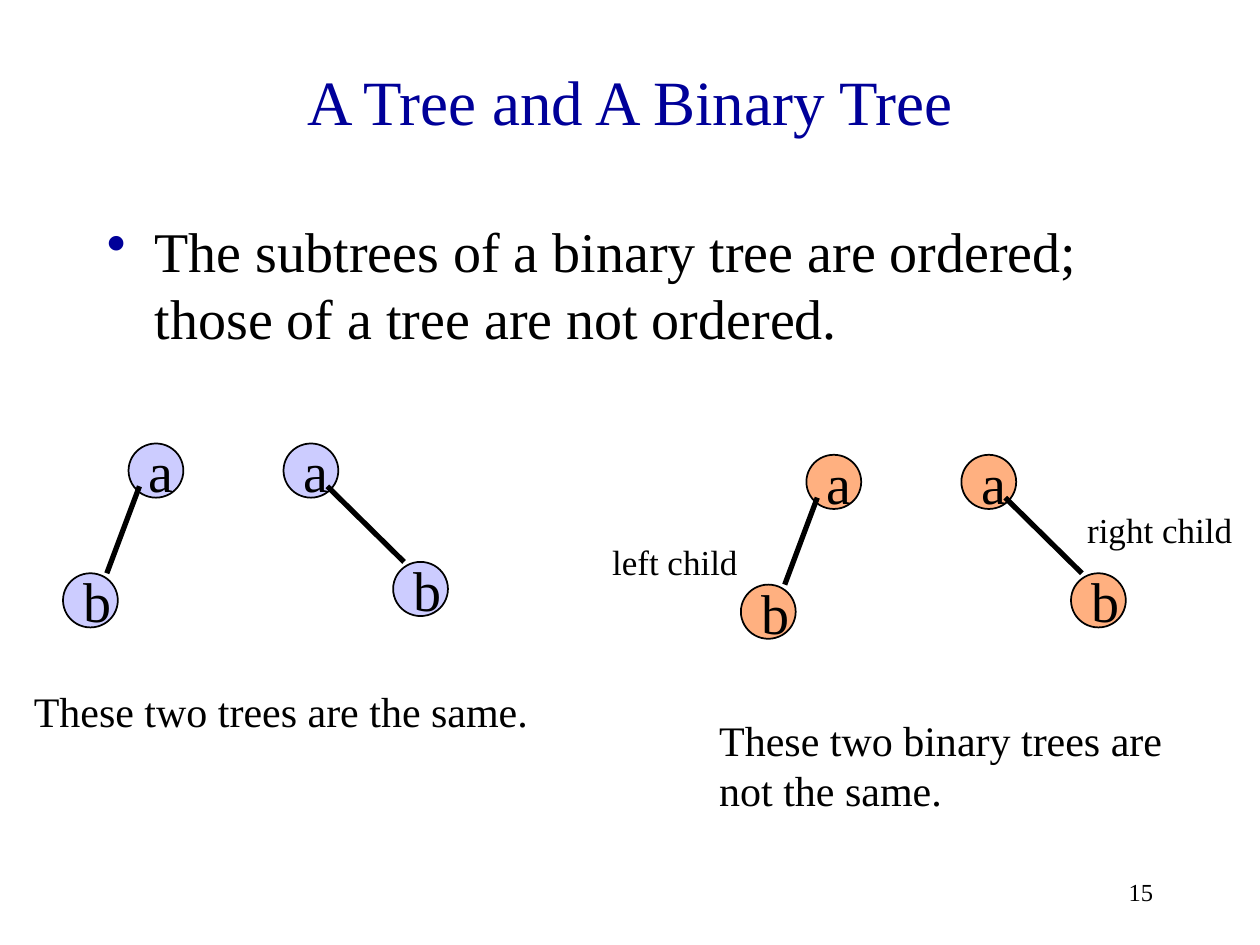
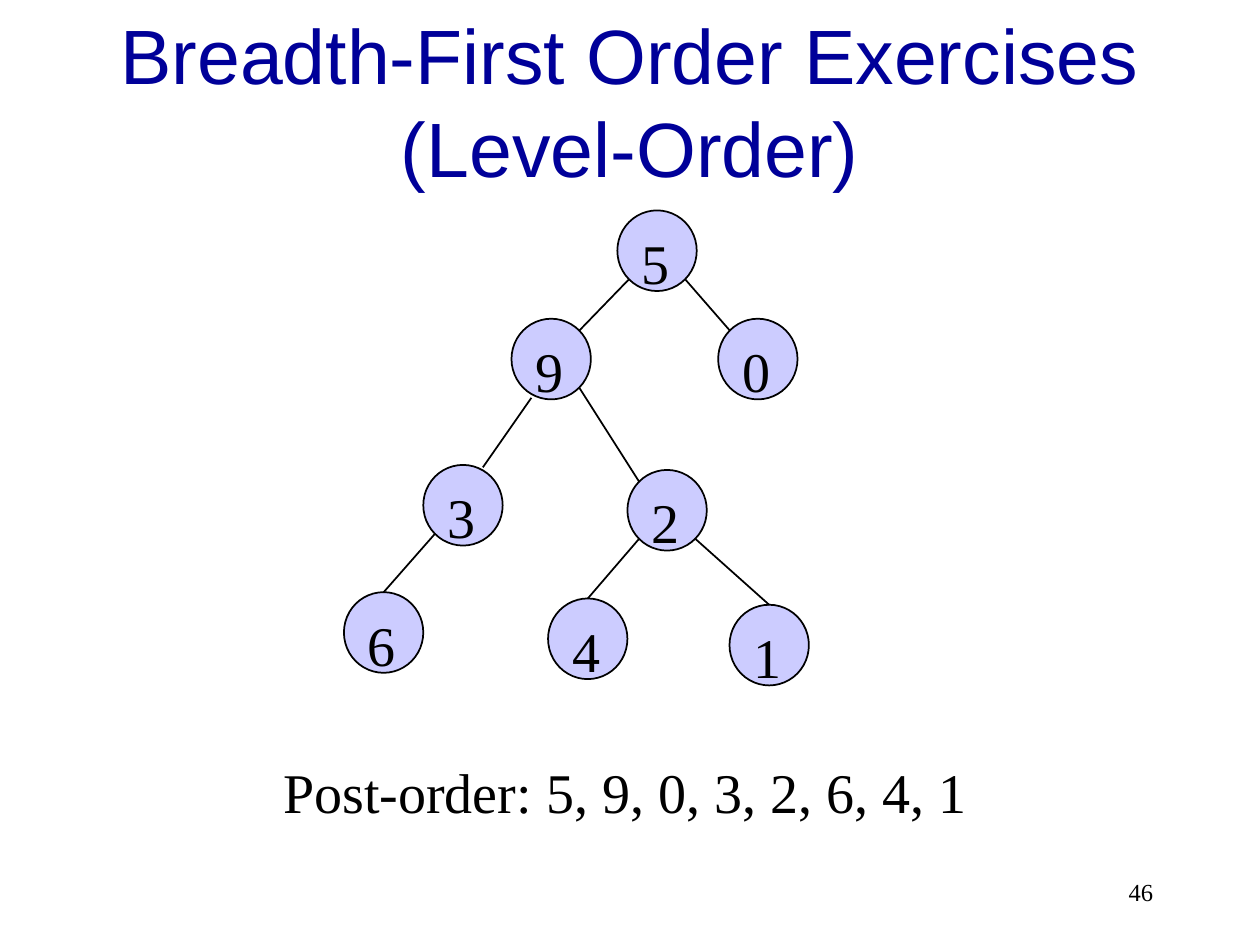
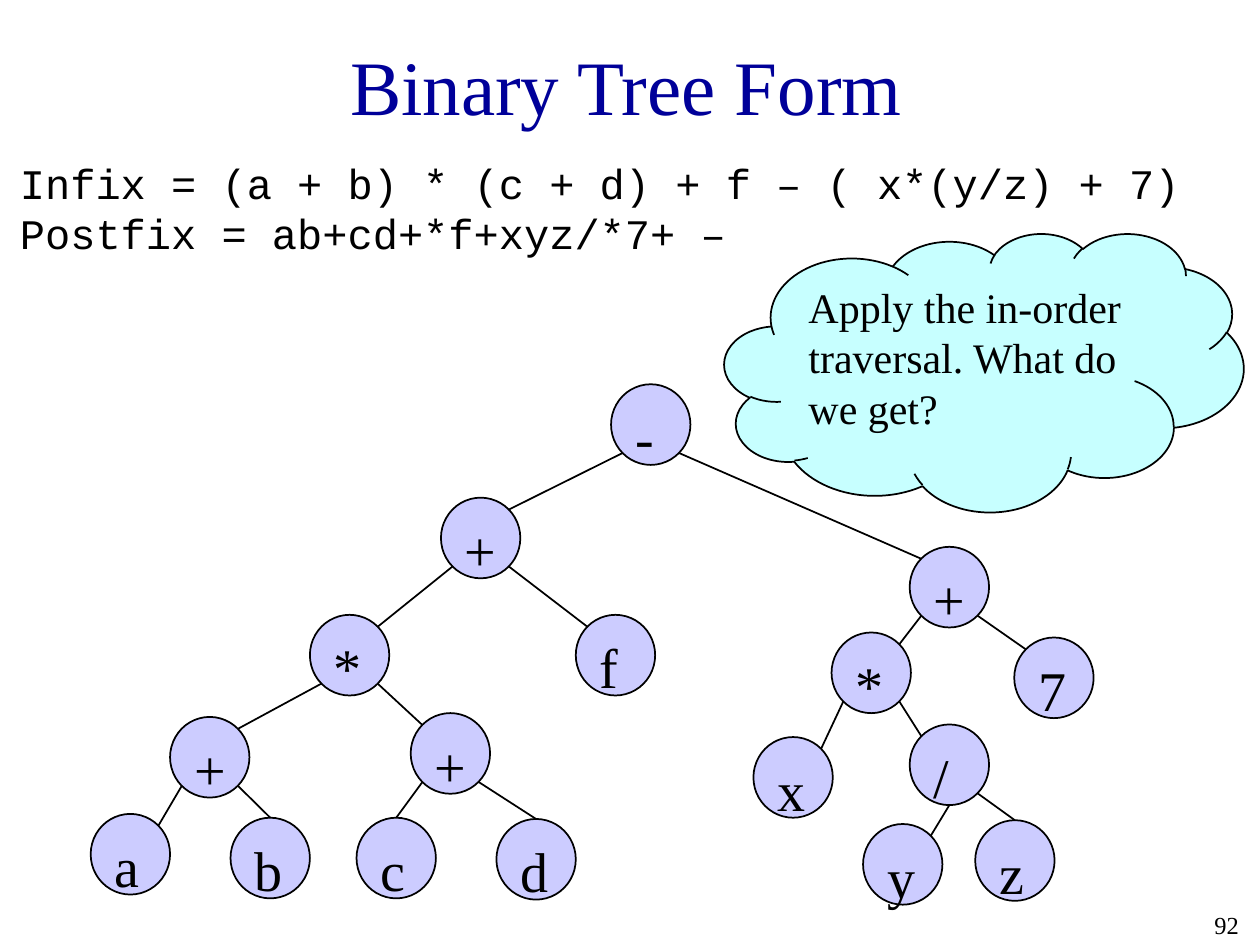
from dataclasses import dataclass

from lxml.etree import SubElement
from pptx import Presentation
from pptx.dml.color import RGBColor
from pptx.enum.shapes import MSO_CONNECTOR, MSO_SHAPE
from pptx.enum.text import MSO_ANCHOR, MSO_AUTO_SIZE, PP_ALIGN
from pptx.oxml.ns import qn
from pptx.util import Inches, Pt

COLUMNS, ROWS = 100, 75
CELL = Inches(0.1)
TITLE_ONLY = 5


@dataclass(frozen=True)
class Theme:
    ink: str = "000000"
    accent: str = "000099"
    lilac: str = "CCCCFF"
    orange: str = "FFB080"
    aqua: str = "C7FFFF"
    serif: str = "Times New Roman"
    sans: str = "Arial"
    mono: str = "Courier New"
    title: int = 44
    small_title: int = 36
    body: int = 32
    note: int = 24
    label: int = 20
    number: int = 14


@dataclass(frozen=True)
class Box:
    """A region measured in grid columns and rows."""
    col: float
    row: float
    cols: float
    rows: float

    def inner(self, col, row, cols, rows):
        return Box(self.col + col, self.row + row, cols, rows)

    def point(self, share):
        across, down = share
        return grid(self.col + across * self.cols, self.row + down * self.rows)

    def lengths(self):
        return grid(self.col, self.row, self.cols, self.rows)


@dataclass(frozen=True)
class Node:
    """A node, and the ports where the edge leaves its parent and enters it."""
    label: str
    col: float
    row: float
    link: tuple = ()
    children: tuple = ()


@dataclass(frozen=True)
class TreeStyle:
    fill: str
    cols: float
    rows: float
    edge: float
    compact: bool = False


THEME = Theme()
LARGE = TreeStyle(THEME.lilac, 6.3, 6.4, 1)
NUMBER_BOX = Box(71.7, 68.3, 20.8, 5)
TITLE_BOX = Box(7.5, 1.7, 85, 12.5)

# Ports are shares of a node's box.
NORTH, SOUTH = (0.5, 0), (0.5, 1)
NW, NE, SW, SE = (0.15, 0.15), (0.85, 0.15), (0.15, 0.85), (0.85, 0.85)
LEFT, RIGHT = (SW, NE), (SE, NW)
LEFT_TOP, RIGHT_TOP = (SW, NORTH), (SE, NORTH)
STEEP_LEFT = ((0.25, 0.98), (0.75, 0.03))
SMALL_LEFT = ((0.2, 0.79), (0.8, 0))
SMALL_RIGHT = ((0.8, 0.79), (0.2, 0))

LEFT_CHILD_TREE = Node("a", 5.2, 0, children=(Node("b", 0, 10.3, SMALL_LEFT),))
RIGHT_CHILD_TREE = Node("a", 17.5, 0, children=(Node("b", 26.2, 9.4, SMALL_RIGHT),))

LEVEL_ORDER_TREE = Node("5", 21.7, 0, children=(
    Node("9", 13.3, 8.6, LEFT, (
        Node("3", 6.3, 20.2, STEEP_LEFT, (Node("6", 0, 30.3, LEFT_TOP),)),
        Node("2", 22.5, 20.6, RIGHT, (
            Node("4", 16.2, 30.8, LEFT_TOP),
            Node("1", 30.6, 31.3, RIGHT_TOP))))),
    Node("0", 29.7, 8.6, RIGHT)))

EXPRESSION_TREE = Node("-", 41.3, 0, children=(
    Node("+", 27.8, 9, LEFT, (
        Node("*", 17.4, 18.3, LEFT, (
            Node("+", 6.3, 26.4, LEFT, (
                Node("a", 0, 34.1, LEFT),
                Node("b", 11.1, 34.4, RIGHT_TOP))),
            Node("+", 25.4, 26.1, RIGHT, (
                Node("c", 21.1, 34.4, LEFT_TOP),
                Node("d", 32.2, 34.5, RIGHT_TOP))))),
        Node("f", 38.5, 18.3, RIGHT))),
    Node("+", 65, 12.9, RIGHT, (
        Node("*", 58.8, 19.7, LEFT, (
            Node("x", 52.6, 28, LEFT),
            Node("/", 65, 27, RIGHT, (
                Node("y", 61.3, 34.9, (SOUTH, NE)),
                Node("z", 70.2, 34.6, RIGHT_TOP))))),
        Node("7", 73.3, 20.1, RIGHT)))))


def grid(*cells):
    return [round(cell * CELL) for cell in cells]


def write(frame, text, size, font=THEME.serif, color=THEME.ink, align=PP_ALIGN.LEFT):
    frame.text = text
    for paragraph in frame.paragraphs:
        paragraph.alignment = align
        paragraph.font.size = Pt(size)
        paragraph.font.name = font
        paragraph.font.color.rgb = RGBColor.from_string(color)


def add_text(slide, box, text, size, wrap=True, **style):
    frame = slide.shapes.add_textbox(*box.lengths()).text_frame
    frame.word_wrap = wrap
    write(frame, text, size, **style)
    return frame


def add_caption(slide, box, text, size, wrap=False, **style):
    """Adds text whose box grows with it."""
    frame = add_text(slide, box, text, size, wrap, **style)
    frame.auto_size = MSO_AUTO_SIZE.SHAPE_TO_FIT_TEXT
    return frame


def indent(paragraph, margin, hanging=0):
    properties = paragraph._p.get_or_add_pPr()
    properties.set("marL", str(Inches(margin)))
    properties.set("indent", str(-Inches(hanging)))
    return properties


def add_bullet(slide, box, text):
    paragraph = add_text(slide, box, text, THEME.body).paragraphs[0]
    paragraph.space_before = Pt(0.2 * THEME.body)
    properties = indent(paragraph, 0.38, hanging=0.38)
    bullet_color = SubElement(properties, qn("a:buClr"))
    SubElement(bullet_color, qn("a:srgbClr"), val=THEME.accent)
    SubElement(properties, qn("a:buChar"), char="•")


def add_outlined(slide, preset, box, fill, text, size):
    shape = slide.shapes.add_shape(preset, *box.lengths())
    shape.shadow.inherit = False
    shape.fill.solid()
    shape.fill.fore_color.rgb = RGBColor.from_string(fill)
    shape.line.color.rgb = RGBColor.from_string(THEME.ink)
    shape.line.width = Pt(1)
    frame = shape.text_frame
    frame.vertical_anchor = MSO_ANCHOR.TOP
    write(frame, text, size)
    return frame


def add_edge(slide, start, end, width):
    edge = slide.shapes.add_connector(MSO_CONNECTOR.STRAIGHT, *start, *end)
    edge.line.color.rgb = RGBColor.from_string(THEME.ink)
    edge.line.width = Pt(width)
    SubElement(edge._element.spPr, qn("a:effectLst"))


def add_tree(slide, box, node, style):
    """Draws a node and all below it inside box, and returns the node's own box."""
    node_box = box.inner(node.col, node.row, style.cols, style.rows)
    frame = add_outlined(slide, MSO_SHAPE.OVAL, node_box, style.fill, node.label, THEME.body)
    if style.compact:
        frame.word_wrap = False
        frame.vertical_anchor = MSO_ANCHOR.MIDDLE
    for child in node.children:
        child_box = add_tree(slide, box, child, style)
        leave, enter = child.link
        add_edge(slide, node_box.point(leave), child_box.point(enter), style.edge)
    return node_box


def add_tree_pair(slide, box, fill):
    style = TreeStyle(fill, 4.35, 4.3, 3, compact=True)
    for tree in (LEFT_CHILD_TREE, RIGHT_CHILD_TREE):
        add_tree(slide, box, tree, style)


def add_titled_slide(deck, title, number, title_box=TITLE_BOX, number_box=NUMBER_BOX,
                     size=THEME.title, font=THEME.serif):
    slide = deck.slides.add_slide(deck.slide_layouts[TITLE_ONLY])
    heading = slide.shapes.title
    heading.left, heading.top, heading.width, heading.height = title_box.lengths()
    frame = heading.text_frame
    frame.auto_size = MSO_AUTO_SIZE.NONE
    frame.vertical_anchor = MSO_ANCHOR.MIDDLE
    write(frame, title, size, font, THEME.accent, PP_ALIGN.CENTER)
    page = add_text(slide, number_box, number, THEME.number, align=PP_ALIGN.RIGHT)
    page.vertical_anchor = MSO_ANCHOR.MIDDLE
    return slide


def add_comparison_slide(deck):
    slide = add_titled_slide(deck, "A Tree and A Binary Tree", "15",
                             title_box=Box(0, 1.7, COLUMNS, 12.5), size=THEME.small_title)
    add_bullet(slide, Box(7.5, 16.7, 85, 13.3),
               "The subtrees of a binary tree are ordered; those of a tree are not ordered.")
    add_tree_pair(slide, Box(5, 35.2, 30.5, 14.6), THEME.lilac)
    add_tree_pair(slide, Box(58.8, 36.1, 30.5, 14.6), THEME.orange)
    add_caption(slide, Box(1.7, 53.9, 41.6, 5.1), "These two trees are the same.", THEME.note)
    add_caption(slide, Box(56.1, 56.2, 40.3, 9.1),
                "These two binary trees are not the same.", THEME.note, wrap=True)
    add_caption(slide, Box(47.6, 42.4, 12, 4.4), "left child", THEME.label)
    add_caption(slide, Box(85.3, 39.9, 13.6, 4.4), "right child", THEME.label)


def add_level_order_slide(deck):
    slide = add_titled_slide(deck, "Breadth-First Order Exercises\v(Level-Order)", "46",
                             font=THEME.sans)
    add_tree(slide, Box(27.3, 16.7, 36.9, 37.7), LEVEL_ORDER_TREE, LARGE)
    add_caption(slide, Box(21.5, 59.6, 56.7, 6.4),
                "Post-order: 5, 9, 0, 3, 2, 6, 4, 1", THEME.body)


def add_expression_slide(deck):
    slide = add_titled_slide(deck, "Binary Tree Form", "92",
                             title_box=Box(7.2, 0.5, 85, 12.5),
                             number_box=Box(78.5, 70.9, 20.8, 5))
    notations = add_caption(
        slide, Box(0, 12, 96.7, 9.1),
        "Infix = (a + b) * (c + d) + f – ( x*(y/z) + 7)\nPostfix = ab+cd+*f+xyz/*7+ –",
        THEME.note, wrap=True, font=THEME.mono)
    for notation in notations.paragraphs:
        indent(notation, 0.06)
    add_tree(slide, Box(7.2, 30.5, 79.6, 41.3), EXPRESSION_TREE, LARGE)
    add_outlined(slide, MSO_SHAPE.CLOUD, Box(57.5, 18.5, 41.2, 22.1), THEME.aqua,
                 "Apply the in-order traversal. What do we get?", THEME.note)


def main():
    deck = Presentation()
    deck.slide_width, deck.slide_height = grid(COLUMNS, ROWS)
    add_comparison_slide(deck)
    add_level_order_slide(deck)
    add_expression_slide(deck)
    deck.save("out.pptx")


if __name__ == "__main__":
    main()
